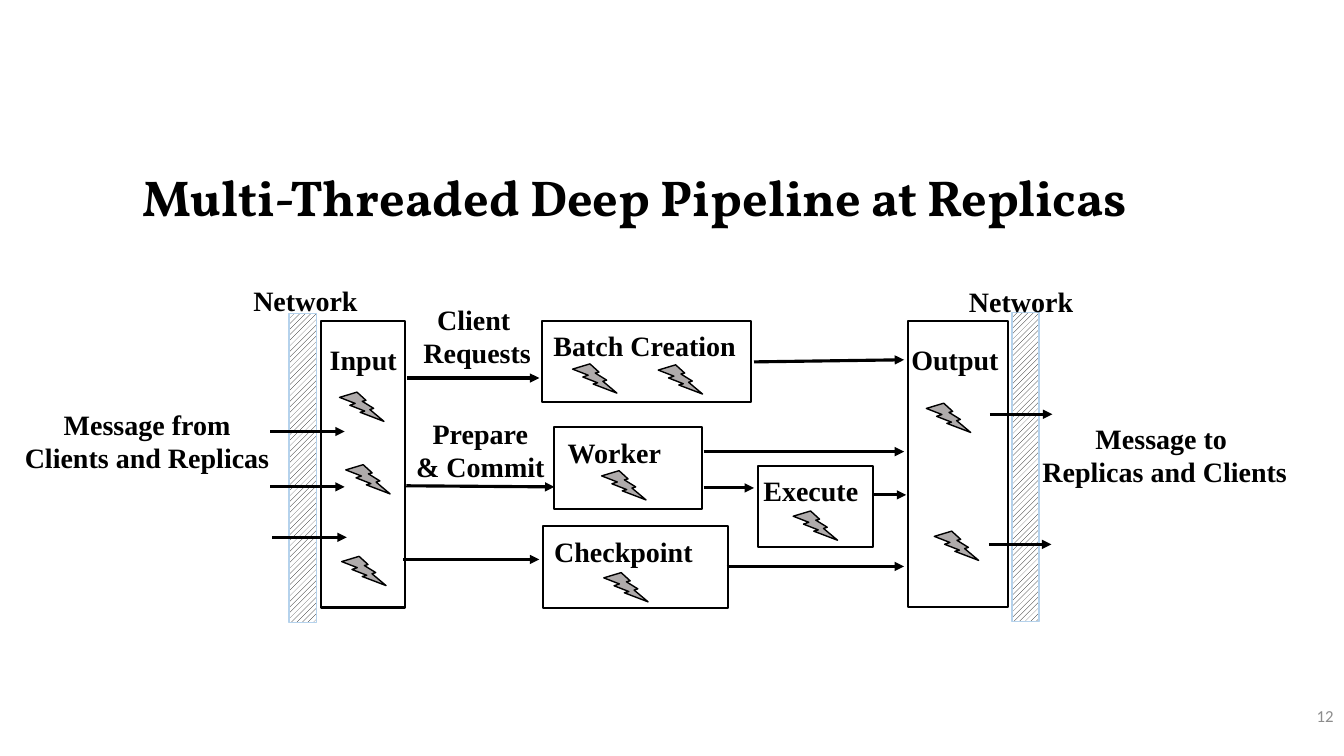
from dataclasses import dataclass

from pptx import Presentation
from pptx.dml.color import RGBColor
from pptx.enum.dml import MSO_PATTERN
from pptx.enum.shapes import MSO_CONNECTOR, MSO_SHAPE
from pptx.enum.text import MSO_ANCHOR, MSO_AUTO_SIZE, PP_ALIGN
from pptx.oxml.ns import qn
from pptx.util import Pt
from lxml.etree import SubElement

TITLE = "Multi-Threaded Deep Pipeline at Replicas"
TITLE_AREA = (39.6, 108, 828, 56.2)
PAGE_NUMBER = "12"
PAGE_NUMBER_AREA = (837.4, 496.8, 122.4, 28.8)

NETWORKS = [(206.6, 223.9), (722.9, 223.2)]
NETWORK_SIZE = (19.4, 221)

STAGES = [
    {"name": "Input", "box": (229, 229.5, 60.5, 204.5), "label": (228.2, 241.2, 62.6),
     "bolts": [(242.6, 280.1), (247, 331.9), (244.1, 397.4)]},
    {"name": "Batch Creation", "box": (387.4, 229, 149, 58.3), "label": (385.2, 231.1, 150.5),
     "bolts": [(409, 259.9), (470.2, 260.6)]},
    {"name": "Worker", "box": (396, 305.3, 105.8, 58.3), "label": (393.8, 307.4, 90),
     "bolts": [(429.8, 336.2)]},
    {"name": "Checkpoint", "box": (388.1, 375.8, 131.8, 58.3), "label": (385.9, 378, 118.8),
     "bolts": [(431.3, 409)]},
    {"name": "Execute", "box": (541.4, 332.6, 82.1, 58.3), "label": (537.1, 334.8, 84.2),
     "bolts": [(566.6, 365)]},
    {"name": "Output", "box": (648.7, 229, 71.3, 204.5), "label": (643.7, 241.2, 77),
     "bolts": [(661.7, 288), (667.4, 379.4)]},
]
BOLT_SIZE = (31.7, 20.9)

CAPTIONS = [
    ("Network", 161.3, 198.7, 113.8),
    ("Network", 672.5, 199.4, 113.8),
    ("Client \nRequests", 291.6, 212.4, 98.6),
    ("Prepare\n& Commit", 283, 293.8, 120.2),
    ("Message from\nClients and Replicas", 7.2, 287.3, 195.8),
    ("Message to \nReplicas and Clients", 736.6, 297.4, 190.8),
]

ARROWS = [
    ((193, 308.2), (246.2, 308.2)),
    ((193, 347.8), (246.2, 347.8)),
    ((194.4, 383.8), (247.7, 383.8)),
    ((290.9, 270), (385.2, 270)),
    ((290.2, 347), (396, 347.8)),
    ((288, 399.6), (385.2, 399.6)),
    ((538.6, 258.5), (645.8, 257)),
    ((502.6, 322.6), (645.8, 322.6)),
    ((502.6, 348.5), (538.6, 348.5)),
    ((519.1, 404.6), (645.8, 404.6)),
    ((623.5, 353.5), (647.3, 353.5)),
    ((707, 295.9), (751.7, 295.9)),
    ((706.3, 388.8), (751, 388.8)),
]


@dataclass(frozen=True)
class Theme:
    ink: RGBColor = RGBColor(0, 0, 0)
    paper: RGBColor = RGBColor(255, 255, 255)
    bolt: RGBColor = RGBColor(0xAF, 0xAB, 0xAB)
    network_edge: RGBColor = RGBColor(0xB5, 0xD2, 0xEC)
    muted: RGBColor = RGBColor(0x8C, 0x8C, 0x8C)
    title_font: str = "Vollkorn"
    label_font: str = "Times New Roman"
    number_font: str = "Calibri"
    title_size: int = 36
    label_size: int = 20
    number_size: int = 12
    label_line: int = 24
    thin: float = 1
    edge: float = 1.5
    arrow: float = 2.25


THEME = Theme()


def points(values):
    return [Pt(value) for value in values]


def format_text(frame, name, size, color, bold=True, align=PP_ALIGN.CENTER):
    frame.word_wrap = True
    frame.auto_size = MSO_AUTO_SIZE.NONE
    for para in frame.paragraphs:
        para.alignment = align
        para.font.name = name
        para.font.size = Pt(size)
        para.font.bold = bold
        para.font.color.rgb = color


def add_label(page, text, left, top, width):
    height = THEME.label_line * len(text.split("\n")) + 7.2
    box = page.shapes.add_textbox(*points((left, top, width, height)))
    frame = box.text_frame
    frame.margin_left = frame.margin_right = 0
    frame.text = text
    format_text(frame, THEME.label_font, THEME.label_size, THEME.ink)


def add_outlined(page, kind, area, line_color, line_width):
    shape = page.shapes.add_shape(kind, *points(area))
    shape.shadow.inherit = False
    shape.fill.background()
    shape.line.color.rgb = line_color
    shape.line.width = Pt(line_width)
    return shape


def add_network(page, corner):
    strip = add_outlined(page, MSO_SHAPE.RECTANGLE, corner + NETWORK_SIZE,
                         THEME.network_edge, THEME.thin)
    strip.fill.patterned()
    strip.fill.pattern = MSO_PATTERN.WIDE_UPWARD_DIAGONAL
    strip.fill.fore_color.rgb = THEME.ink
    strip.fill.back_color.rgb = THEME.paper


def add_stage(page, stage):
    add_outlined(page, MSO_SHAPE.RECTANGLE, stage["box"], THEME.ink, THEME.edge)
    add_label(page, stage["name"], *stage["label"])
    for corner in stage["bolts"]:
        bolt = add_outlined(page, MSO_SHAPE.LIGHTNING_BOLT, corner + BOLT_SIZE,
                            THEME.ink, THEME.thin)
        bolt.fill.solid()
        bolt.fill.fore_color.rgb = THEME.bolt


def add_arrow(page, start, end):
    arrow = page.shapes.add_connector(MSO_CONNECTOR.STRAIGHT, *points(start + end))
    arrow.line.color.rgb = THEME.ink
    arrow.line.width = Pt(THEME.arrow)
    SubElement(arrow.line._get_or_add_ln(), qn("a:tailEnd"), type="triangle")
    SubElement(arrow._element.spPr, qn("a:effectLst"))


def add_title(page):
    title = page.shapes.title
    title.left, title.top, title.width, title.height = points(TITLE_AREA)
    title.text_frame.text = TITLE
    title.text_frame.vertical_anchor = MSO_ANCHOR.MIDDLE
    format_text(title.text_frame, THEME.title_font, THEME.title_size, THEME.ink)
    title.text_frame.paragraphs[0].line_spacing = 1.2


def add_page_number(page):
    box = page.shapes.add_textbox(*points(PAGE_NUMBER_AREA))
    box.text_frame.text = PAGE_NUMBER
    box.text_frame.vertical_anchor = MSO_ANCHOR.MIDDLE
    format_text(box.text_frame, THEME.number_font, THEME.number_size, THEME.muted,
                bold=False, align=PP_ALIGN.RIGHT)


def main():
    deck = Presentation()
    deck.slide_width, deck.slide_height = Pt(960), Pt(540)
    page = deck.slides.add_slide(deck.slide_layouts[5])
    add_title(page)
    for corner in NETWORKS:
        add_network(page, corner)
    for stage in STAGES:
        add_stage(page, stage)
    for caption in CAPTIONS:
        add_label(page, *caption)
    for start, end in ARROWS:
        add_arrow(page, start, end)
    add_page_number(page)
    deck.save("out.pptx")


if __name__ == "__main__":
    main()
